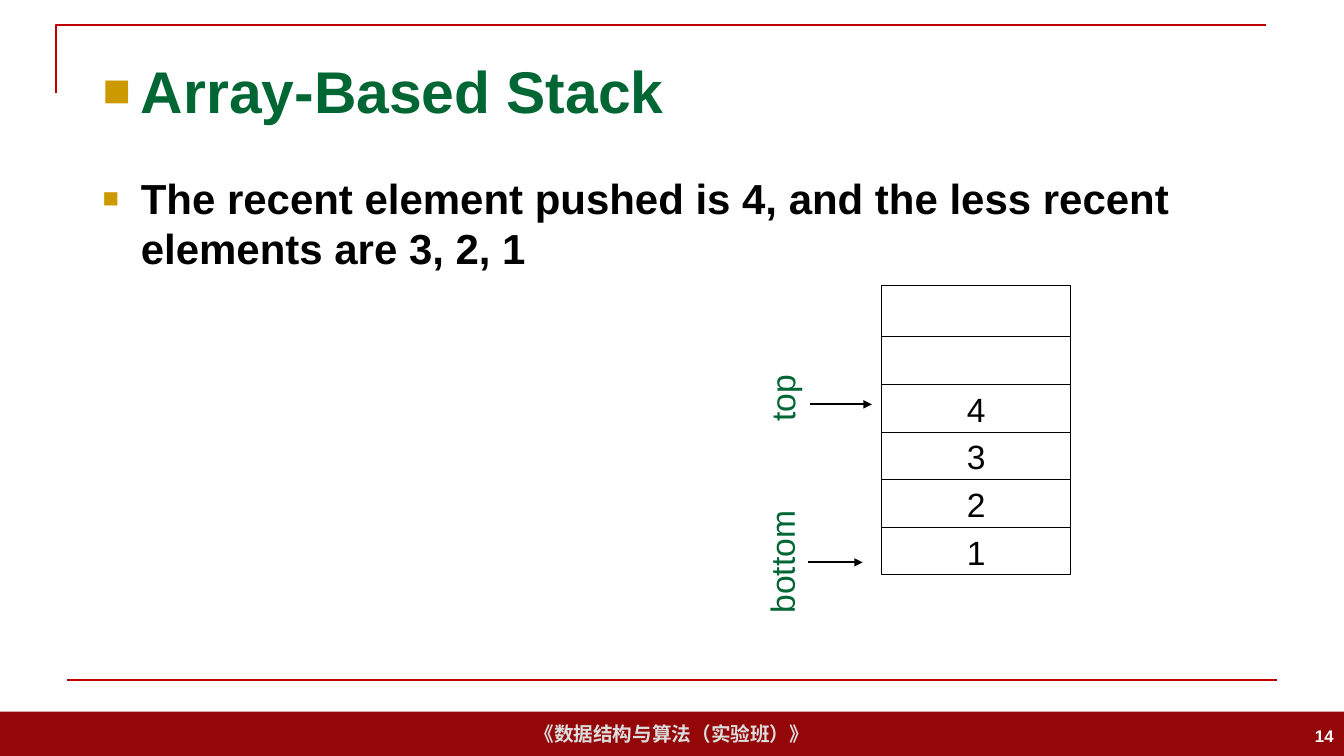
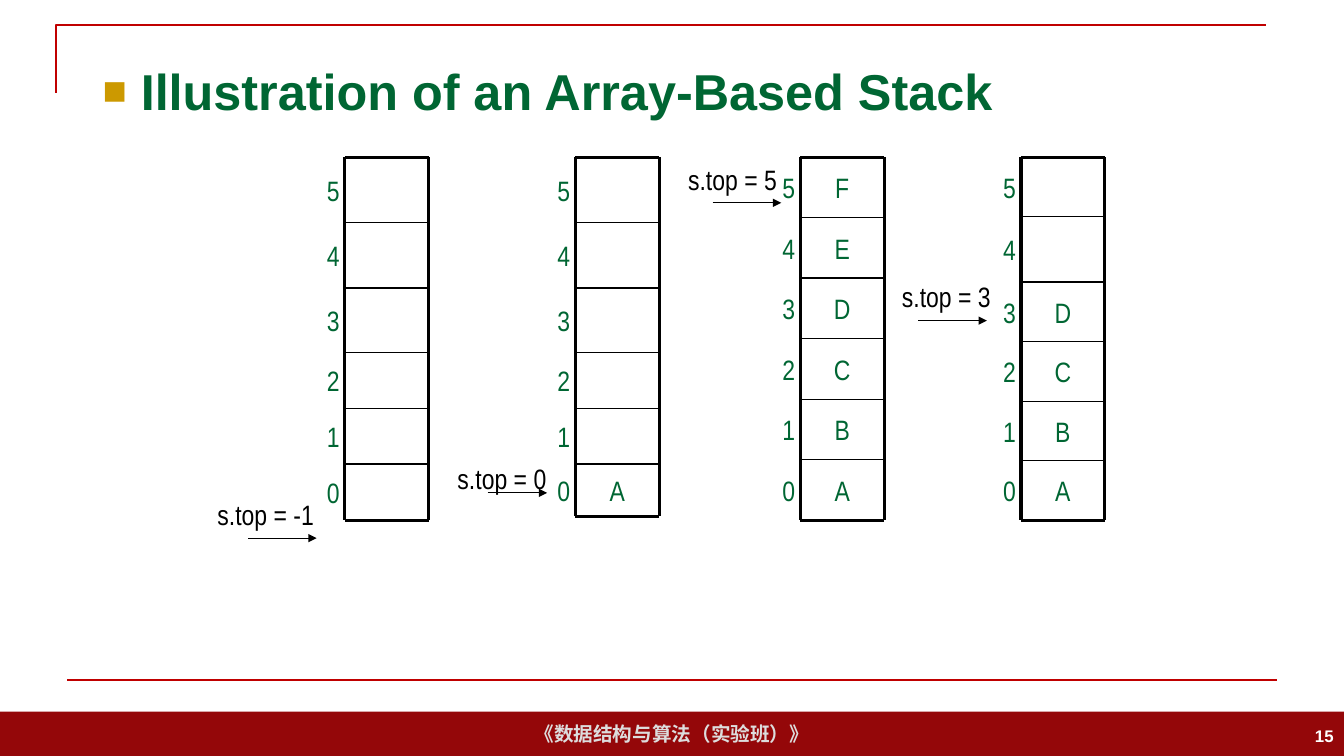
"""Build two slides about array-based stacks."""
from itertools import accumulate, pairwise

from lxml.etree import SubElement
from pptx import Presentation
from pptx.dml.color import RGBColor
from pptx.enum.shapes import MSO_CONNECTOR, MSO_SHAPE
from pptx.enum.text import MSO_ANCHOR, PP_ALIGN
from pptx.oxml.ns import qn
from pptx.util import Cm, Pt

COLOURS = {
    "band": "940709",
    "rule": "C00000",
    "bullet": "CC9900",
    "green": "006633",
    "black": "000000",
    "white": "FFFFFF",
    "footer": "DDDDDD",
}
SLIDE_WIDTH, SLIDE_HEIGHT = 33.87, 19.05
STACK_TOP, STACK_WIDTH, INDEX_WIDTH = 3.96, 2.11, 0.7


def colour(name):
    return RGBColor.from_string(COLOURS[name])


def write(shape, text, size, ink, font="Arial", bold=False,
          align=PP_ALIGN.LEFT, anchor=MSO_ANCHOR.TOP, wrap=True):
    frame = shape.text_frame
    frame.word_wrap = wrap
    frame.vertical_anchor = anchor
    paragraph = frame.paragraphs[0]
    paragraph.alignment = align
    span = paragraph.add_run()
    span.text = text
    span.font.name = font
    span.font.size = Pt(size)
    span.font.bold = bold
    span.font.color.rgb = colour(ink)
    return paragraph


def add_text(page, left, top, width, height, text, size, ink, **style):
    box = page.shapes.add_textbox(Cm(left), Cm(top), Cm(width), Cm(height))
    return box, write(box, text, size, ink, **style)


def add_bullet(paragraph, percent):
    properties = paragraph._p.get_or_add_pPr()
    properties.set("marL", str(Cm(0.96)))
    properties.set("indent", str(-Cm(0.96)))
    tint = SubElement(properties, qn("a:buClr"))
    SubElement(tint, qn("a:srgbClr"), val=COLOURS["bullet"])
    SubElement(properties, qn("a:buSzPct"), val=str(percent * 1000))
    SubElement(properties, qn("a:buFont"), typeface="Arial")
    SubElement(properties, qn("a:buChar"), char="■")


def add_rect(page, left, top, width, height, fill, line=None):
    rect = page.shapes.add_shape(
        MSO_SHAPE.RECTANGLE, Cm(left), Cm(top), Cm(width), Cm(height))
    rect.shadow.inherit = False
    rect.fill.solid()
    rect.fill.fore_color.rgb = colour(fill)
    if line:
        rect.line.color.rgb = colour(line)
        rect.line.width = Pt(0.75)
    else:
        rect.line.fill.background()
    return rect


def add_line(page, x1, y1, x2, y2, weight, ink="black", arrow=False):
    line = page.shapes.add_connector(
        MSO_CONNECTOR.STRAIGHT, Cm(x1), Cm(y1), Cm(x2), Cm(y2))
    line.line.color.rgb = colour(ink)
    line.line.width = Pt(weight)
    properties = line.element.spPr
    if arrow:
        SubElement(properties.find(qn("a:ln")), qn("a:tailEnd"), type="triangle")
    SubElement(properties, qn("a:effectLst"))


def add_corner_rule(page):
    builder = page.shapes.build_freeform(Cm(1.42), Cm(2.34))
    builder.add_line_segments(
        [(Cm(1.42), Cm(0.64)), (Cm(31.9), Cm(0.64))], close=False)
    corner = builder.convert_to_shape()
    corner.shadow.inherit = False
    corner.fill.background()
    corner.line.color.rgb = colour("rule")
    corner.line.width = Pt(1.5)


def add_page(deck, title, title_size, number):
    page = deck.slides.add_slide(deck.slide_layouts[6])
    band = add_rect(page, 0, 17.93, SLIDE_WIDTH, 1.12, "band")
    write(band, "《数据结构与算法（实验班）》", 14, "footer", bold=True,
          align=PP_ALIGN.CENTER, anchor=MSO_ANCHOR.MIDDLE, wrap=False)
    add_corner_rule(page)
    add_line(page, 1.7, 17.14, 32.18, 17.14, 1.5, "rule")
    _, heading = add_text(page, 2.34, 1.02, 29.21, 2.51, title, title_size,
                          "green", bold=True, anchor=MSO_ANCHOR.MIDDLE)
    add_bullet(heading, 80)
    add_text(page, 26.24, 18.03, 7.62, 1.02, str(number), 12, "white",
             bold=True, align=PP_ALIGN.RIGHT, anchor=MSO_ANCHOR.MIDDLE)
    return page


def add_pointer(page, left, top, width, text, arrow, **style):
    label, _ = add_text(page, left, top, width, 1.28, text, 24, "green", **style)
    label.rotation = 270
    start, end, y = arrow
    add_line(page, start, y, end, y, 1.5, arrow=True)


def add_boxed_stack(page, left, top, pitch, cells):
    for row, text in reversed(list(enumerate(cells))):
        cell = add_rect(page, left, top + row * pitch, 4.76, 1.3, "white", "black")
        if text:
            write(cell, text, 24, "black", align=PP_ALIGN.CENTER,
                  anchor=MSO_ANCHOR.MIDDLE)
            cell.text_frame.margin_bottom = 0


def add_ruled_stack(page, left, heights, letters):
    edges = list(accumulate(heights, initial=STACK_TOP))
    right = left + STACK_WIDTH
    style = {"font": "Arial Narrow", "align": PP_ALIGN.CENTER,
             "anchor": MSO_ANCHOR.MIDDLE}
    for index, (top, bottom) in enumerate(reversed(list(pairwise(edges)))):
        add_text(page, left - INDEX_WIDTH, top, INDEX_WIDTH, bottom - top,
                 str(index), 20, "green", **style)
        if index < len(letters):
            add_text(page, left, top, STACK_WIDTH, bottom - top,
                     letters[index], 20, "green", **style)
    for x in (left, right):
        add_line(page, x, edges[0], x, edges[-1], 2.25)
    for y in edges:
        weight = 2.25 if y in (edges[0], edges[-1]) else 1
        add_line(page, left, y, right, y, weight)


def add_top_marker(page, left, top, value, arrow):
    add_text(page, left, top, 3.3, 1.12, f"s.top = {value}", 20, "black",
             font="Arial Narrow")
    start, end, y = arrow
    add_line(page, start, y, end, y, 0.75, arrow=True)


def build_stack_page(deck):
    page = add_page(deck, "Array-Based Stack", 42, 14)
    _, statement = add_text(
        page, 2.34, 4.22, 29.21, 12.9,
        "The recent element pushed is 4, and the less recent elements are 3, 2, 1",
        30, "black", bold=True)
    add_bullet(statement, 65)
    add_boxed_stack(page, 22.22, 7.19, 1.2, ["", "", "4", "3", "2", "1"])
    add_pointer(page, 18.42, 9.4, 2.59, "top", (20.42, 21.97, 10.19),
                align=PP_ALIGN.CENTER)
    add_pointer(page, 18.14, 13.51, 3.12, "bottom", (20.35, 21.74, 14.17),
                wrap=False)


def build_illustration_page(deck):
    page = add_page(deck, "Illustration of an Array-Based Stack", 36, 15)
    stacks = [
        (8.69, [1.65, 1.65, 1.63, 1.4, 1.4, 1.42], ""),
        (14.5, [1.65, 1.65, 1.63, 1.4, 1.4, 1.32], "A"),
        (20.17, [9.15 / 6] * 6, "ABCDEF"),
        (25.73, [1.5, 1.65, 1.5, 1.5, 1.5, 1.5], "ABCD"),
    ]
    markers = [
        (5.23, 12.42, -1, (6.25, 7.98, 13.56)),
        (11.28, 11.51, 0, (12.29, 13.79, 12.42)),
        (17.09, 3.96, 5, (17.96, 19.69, 5.11)),
        (22.48, 6.93, 3, (23.14, 24.87, 8.08)),
    ]
    for stack, marker in zip(stacks, markers):
        add_ruled_stack(page, *stack)
        add_top_marker(page, *marker)


def main():
    deck = Presentation()
    deck.slide_width, deck.slide_height = Cm(SLIDE_WIDTH), Cm(SLIDE_HEIGHT)
    build_stack_page(deck)
    build_illustration_page(deck)
    deck.save("out.pptx")


if __name__ == "__main__":
    main()
